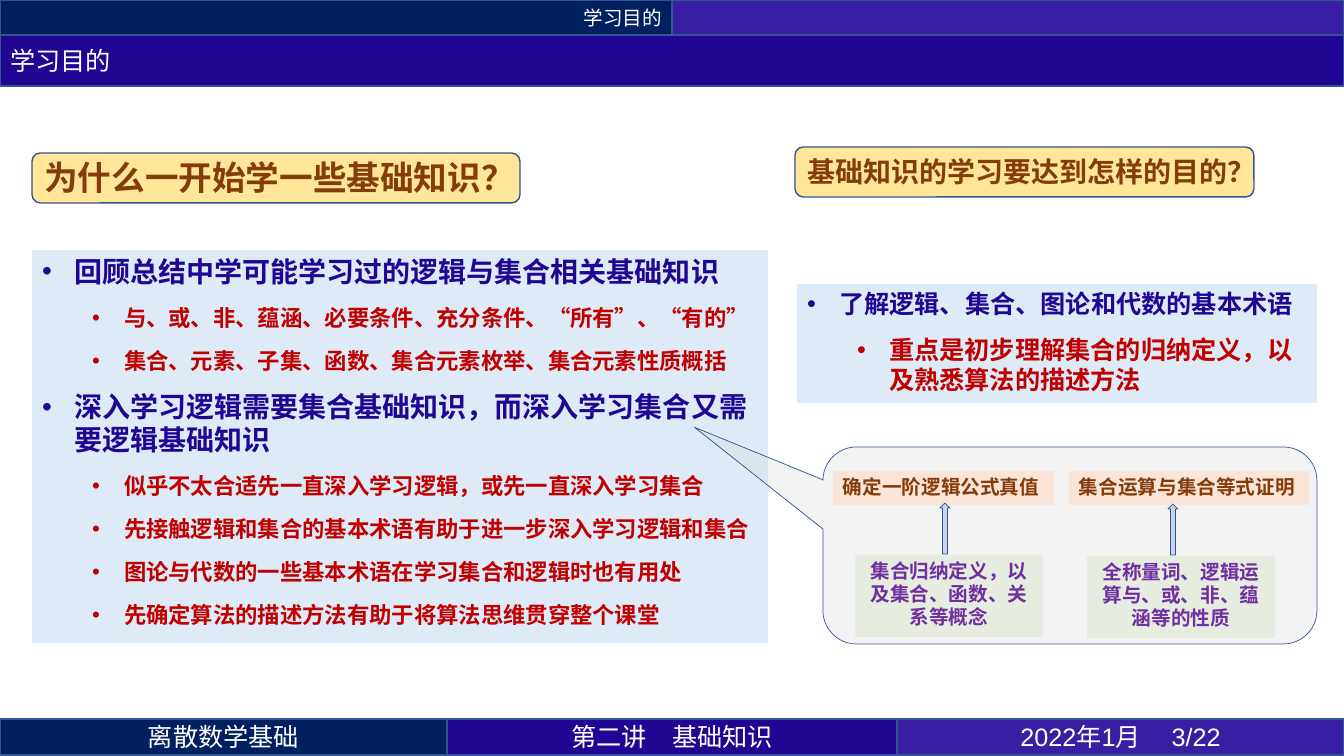
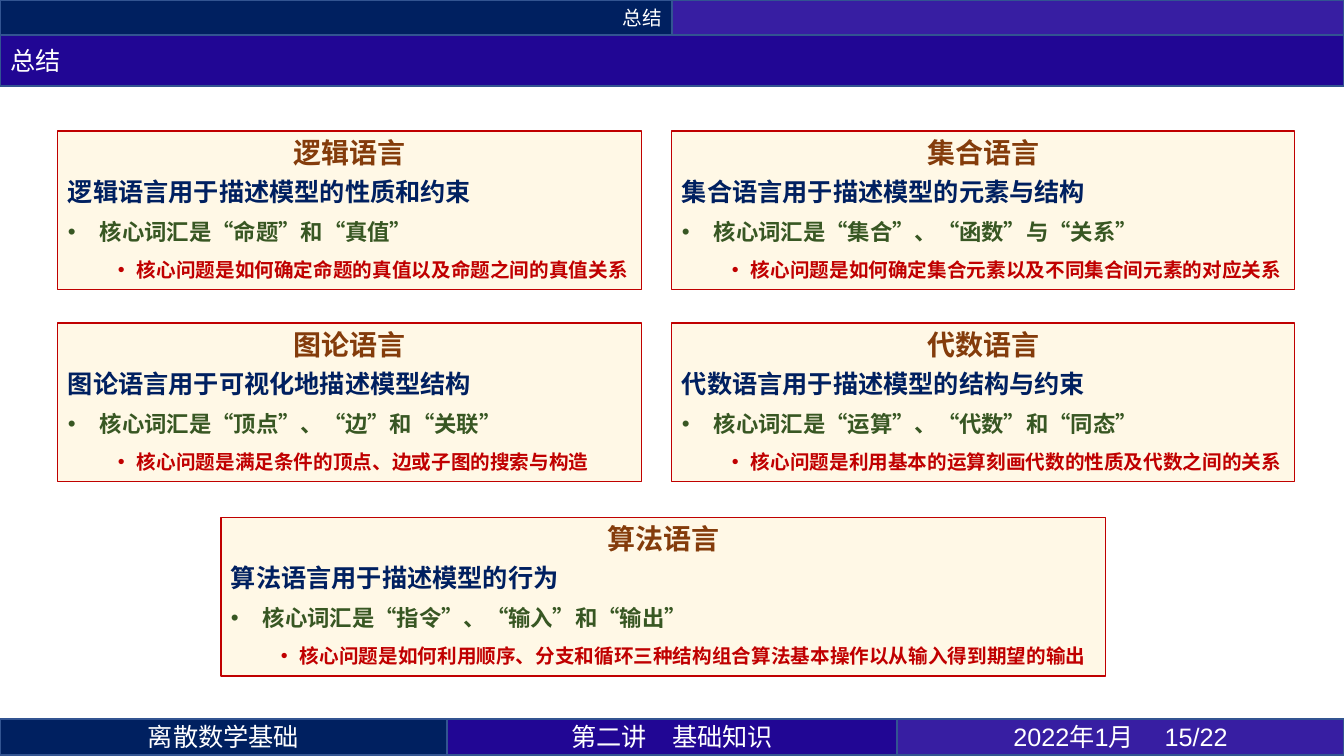
from dataclasses import dataclass

from lxml import etree
from pptx import Presentation
from pptx.dml.color import RGBColor
from pptx.enum.shapes import MSO_SHAPE
from pptx.enum.text import MSO_ANCHOR, MSO_AUTO_SIZE, PP_ALIGN
from pptx.oxml.ns import qn
from pptx.util import Pt

RECT = MSO_SHAPE.RECTANGLE
ROUNDED = MSO_SHAPE.ROUNDED_RECTANGLE
CALLOUT = MSO_SHAPE.ROUNDED_RECTANGULAR_CALLOUT
UP_ARROW = MSO_SHAPE.UP_ARROW
LEFT, CENTER, RIGHT = PP_ALIGN.LEFT, PP_ALIGN.CENTER, PP_ALIGN.RIGHT
TOP, MIDDLE = MSO_ANCHOR.TOP, MSO_ANCHOR.MIDDLE
NO_AUTOFIT = MSO_AUTO_SIZE.NONE

EMU_PER_PX = 12192000 / 1344
WIDTH, HEIGHT = 1344, 756
LINE_HEIGHT = 1.17
CJK, LATIN = "Noto Sans CJK SC", "Arial"
TWO_CONTENT, TITLE_ONLY = 3, 5

COLORS = {
    "white": "FFFFFF", "navy": "002060", "indigo": "210694",
    "violet": "371EA2", "outline": "325491", "brown": "843C0B",
    "red": "C00000", "green": "385723", "purple": "7030A0",
    "gold": "FFE699", "cream": "FFF2CC", "sky": "DEEBF7",
    "grey": "D0CECE", "peach": "FBE5D6", "leaf": "C5E0B4", "blue": "4472C4",
}


@dataclass(frozen=True)
class Box:
    x: int
    y: int
    w: int
    h: int

    def emu(self) -> tuple[int, ...]:
        return tuple(px(v) for v in (self.x, self.y, self.w, self.h))


@dataclass(frozen=True)
class Look:
    fill: str
    line: str = ""
    line_pt: float = 1
    opacity: int = 100


@dataclass(frozen=True)
class Style:
    size: int
    color: str
    bold: bool = True
    align: PP_ALIGN = LEFT
    font: str = CJK
    before: int = 0
    after: int = 0
    level: int = 0
    indent: int = 0   # left edge of the text, px
    hanging: int = 0  # bullet offset, px; 0 means no bullet


@dataclass(frozen=True)
class Card:
    box: Box
    lines: tuple[str, str, str, str]


# Looks and text styles
BAND_TEXT = Style(18, "white", bold=False, align=CENTER)
PILL = Look("gold", "outline")
LIST = Look("sky")
CARD = Look("cream", "red", 0.75, 49)
CARD_STYLES = (
    Style(20, "brown", align=CENTER),
    Style(18, "navy", before=6, after=3),
    Style(16, "green", before=6, after=3, indent=32, hanging=32),
    Style(14, "red", before=6, after=3, level=1, indent=69, hanging=19),
)


def px(value: int) -> int:
    return round(value * EMU_PER_PX)


def rgb(name: str) -> RGBColor:
    return RGBColor.from_string(COLORS[name])


def list_styles(main_size: int, sub_size: int) -> tuple[Style, Style]:
    return (Style(main_size, "indigo", before=6, after=6, indent=32, hanging=32),
            Style(sub_size, "red", before=6, after=6, level=1, indent=82, hanging=32))


def place(shape, box: Box) -> None:
    shape.left, shape.top, shape.width, shape.height = box.emu()


def paint(shape, look: Look) -> None:
    shape.fill.solid()
    shape.fill.fore_color.rgb = rgb(look.fill)
    if look.opacity < 100:
        color = shape._element.spPr.find(qn("a:solidFill")).find(qn("a:srgbClr"))
        etree.SubElement(color, qn("a:alpha")).set("val", str(look.opacity * 1000))
    if look.line:
        shape.line.color.rgb = rgb(look.line)
        shape.line.width = Pt(look.line_pt)
    else:
        shape.line.fill.background()


def format_paragraph(paragraph, style: Style) -> None:
    paragraph.alignment = style.align
    paragraph.level = style.level
    paragraph.line_spacing = Pt(style.size * LINE_HEIGHT)
    paragraph.space_before = Pt(style.before)
    paragraph.space_after = Pt(style.after)
    props = paragraph._p.get_or_add_pPr()
    if style.hanging:
        props.set("marL", str(px(style.indent)))
        props.set("indent", str(-px(style.hanging)))
        etree.SubElement(props, qn("a:buFont")).set("typeface", LATIN)
        etree.SubElement(props, qn("a:buChar")).set("char", "•")
    font = paragraph.font
    font.size, font.bold, font.name = Pt(style.size), style.bold, style.font
    font.color.rgb = rgb(style.color)
    # East Asian typeface
    etree.SubElement(props.find(qn("a:defRPr")), qn("a:ea")).set("typeface", CJK)


def write(shape, lines: list[tuple[str, Style]], anchor: MSO_ANCHOR = TOP,
          wrap: bool = True) -> None:
    frame = shape.text_frame
    frame.auto_size = NO_AUTOFIT
    frame.word_wrap = wrap
    frame.vertical_anchor = anchor
    for index, (text, style) in enumerate(lines):
        paragraph = frame.add_paragraph() if index else frame.paragraphs[0]
        paragraph.text = text
        format_paragraph(paragraph, style)


def add_shape(slide, kind: MSO_SHAPE, box: Box, look: Look):
    shape = slide.shapes.add_shape(kind, *box.emu())
    shape.shadow.inherit = False
    paint(shape, look)
    return shape


def add_band(slide, box: Box, fill: str, text: str = "",
             style: Style = BAND_TEXT) -> None:
    band = add_shape(slide, RECT, box, Look(fill, "outline"))
    if text:
        write(band, [(text, style)], MIDDLE)


def add_base_slide(deck, layout: int, title: str, page: int):
    """Slide with navigation bands, title band and footer."""
    slide = deck.slides.add_slide(deck.slide_layouts[layout])
    half = WIDTH // 2
    add_band(slide, Box(0, 0, half, 35), "navy", title,
             Style(14, "white", bold=False, align=RIGHT))
    add_band(slide, Box(half, 0, half, 35), "violet")

    heading = slide.shapes.title
    place(heading, Box(0, 35, WIDTH, 51))
    paint(heading, Look("indigo", "outline"))
    write(heading, [(title, Style(18, "white", bold=False))], MIDDLE)

    footers = (
        (0, 447, "navy", "离散数学基础", CJK),
        (447, 450, "indigo", "第二讲\t基础知识", CJK),
        (897, 447, "violet", f"2022年1月 \t{page}/22", LATIN),
    )
    for x, width, fill, text, font in footers:
        add_band(slide, Box(x, 719, width, 36), fill, text,
                 Style(18, "white", bold=False, align=CENTER, font=font))
    return slide


def add_question(slide, box: Box, text: str, size: int) -> None:
    pill = add_shape(slide, ROUNDED, box, PILL)
    pill.text_frame.margin_right = 0
    write(pill, [(text, Style(size, "brown"))], MIDDLE, wrap=False)


def fill_list(body, box: Box, styles: tuple[Style, Style],
              items: list[tuple[int, str]]) -> None:
    place(body, box)
    paint(body, LIST)
    write(body, [(text, styles[level]) for level, text in items])


def build_goals(deck) -> None:
    slide = add_base_slide(deck, TWO_CONTENT, "学习目的", 3)
    reasons, targets = [p for p in slide.placeholders if p.placeholder_format.idx]

    # Questions and their answers
    add_question(slide, Box(32, 153, 488, 50), "为什么一开始学一些基础知识？", 24)
    add_question(slide, Box(795, 147, 459, 50), "基础知识的学习要达到怎样的目的？", 20)
    fill_list(reasons, Box(32, 250, 736, 393), list_styles(20, 16), [
        (0, "回顾总结中学可能学习过的逻辑与集合相关基础知识"),
        (1, "与、或、非、蕴涵、必要条件、充分条件、“所有”、“有的”"),
        (1, "集合、元素、子集、函数、集合元素枚举、集合元素性质概括"),
        (0, "深入学习逻辑需要集合基础知识，而深入学习集合又需要逻辑基础知识"),
        (1, "似乎不太合适先一直深入学习逻辑，或先一直深入学习集合"),
        (1, "先接触逻辑和集合的基本术语有助于进一步深入学习逻辑和集合"),
        (1, "图论与代数的一些基本术语在学习集合和逻辑时也有用处"),
        (1, "先确定算法的描述方法有助于将算法思维贯穿整个课堂"),
    ])
    fill_list(targets, Box(797, 284, 520, 119), list_styles(18, 18), [
        (0, "了解逻辑、集合、图论和代数的基本术语"),
        (1, "重点是初步理解集合的归纳定义，以及熟悉算法的描述方法"),
    ])

    # Callout with the mutual dependencies
    callout = add_shape(slide, CALLOUT, Box(823, 447, 494, 197),
                        Look("grey", "outline", 0.5, 23))
    for index, value in enumerate((-0.76, -0.6, 0.17)):
        callout.adjustments[index] = value
    dependencies = (
        (Box(833, 471, 221, 34), "确定一阶逻辑公式真值",
         Box(855, 555, 188, 82), "集合归纳定义，以及集合、函数、关系等概念", 940),
        (Box(1069, 471, 240, 34), "集合运算与集合等式证明",
         Box(1087, 556, 188, 82), "全称量词、逻辑运算与、或、非、蕴涵等的性质", 1168),
    )
    for topic_box, topic, basis_box, basis, arrow_x in dependencies:
        write(add_shape(slide, RECT, topic_box, Look("peach")),
              [(topic, Style(14, "brown"))])
        write(add_shape(slide, RECT, basis_box, Look("leaf", opacity=29)),
              [(basis, Style(14, "purple", align=CENTER))])
        add_shape(slide, UP_ARROW, Box(arrow_x, basis_box.y - 52, 10, 51),
                  Look("blue", "outline", 0.5, 24))


def build_summary(deck) -> None:
    slide = add_base_slide(deck, TITLE_ONLY, "总结", 15)
    left, right, row_1, row_2 = 58, 672, 131, 323
    left_w, right_w, card_h = 584, 623, 159
    cards = (
        Card(Box(left, row_1, left_w, card_h), (
            "逻辑语言", "逻辑语言用于描述模型的性质和约束",
            "核心词汇是“命题”和“真值”",
            "核心问题是如何确定命题的真值以及命题之间的真值关系")),
        Card(Box(right, row_1, right_w, card_h), (
            "集合语言", "集合语言用于描述模型的元素与结构",
            "核心词汇是“集合”、“函数”与“关系”",
            "核心问题是如何确定集合元素以及不同集合间元素的对应关系")),
        Card(Box(left, row_2, left_w, card_h), (
            "图论语言", "图论语言用于可视化地描述模型结构",
            "核心词汇是“顶点”、“边”和“关联”",
            "核心问题是满足条件的顶点、边或子图的搜索与构造")),
        Card(Box(right, row_2, right_w, card_h), (
            "代数语言", "代数语言用于描述模型的结构与约束",
            "核心词汇是“运算”、“代数”和“同态”",
            "核心问题是利用基本的运算刻画代数的性质及代数之间的关系")),
        Card(Box(221, 517, 885, card_h), (
            "算法语言", "算法语言用于描述模型的行为",
            "核心词汇是“指令”、“输入”和“输出”",
            "核心问题是如何利用顺序、分支和循环三种结构组合算法基本操作以从输入得到期望的输出")),
    )
    for card in cards:
        panel = add_shape(slide, RECT, card.box, CARD)
        write(panel, list(zip(card.lines, CARD_STYLES)))


def main() -> None:
    deck = Presentation()
    deck.slide_width, deck.slide_height = px(WIDTH), px(HEIGHT)
    build_goals(deck)
    build_summary(deck)
    deck.save("out.pptx")


if __name__ == "__main__":
    main()
